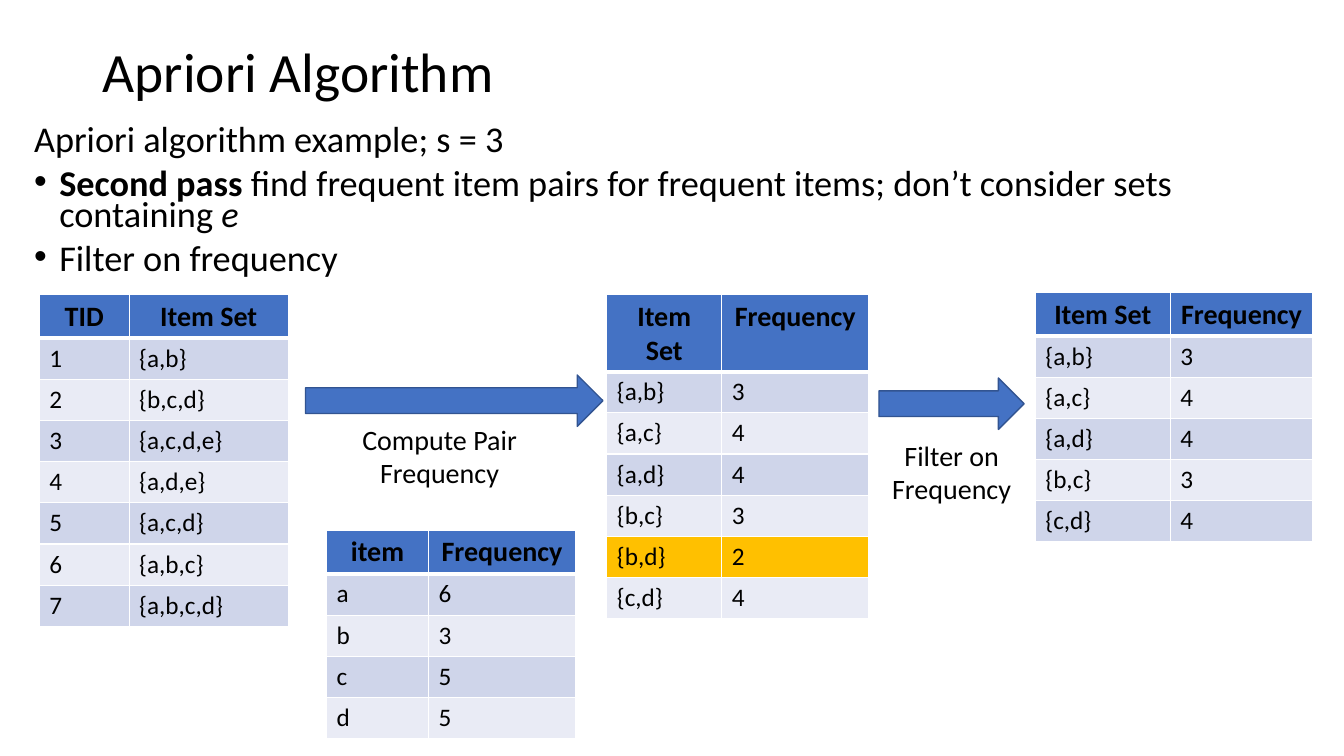
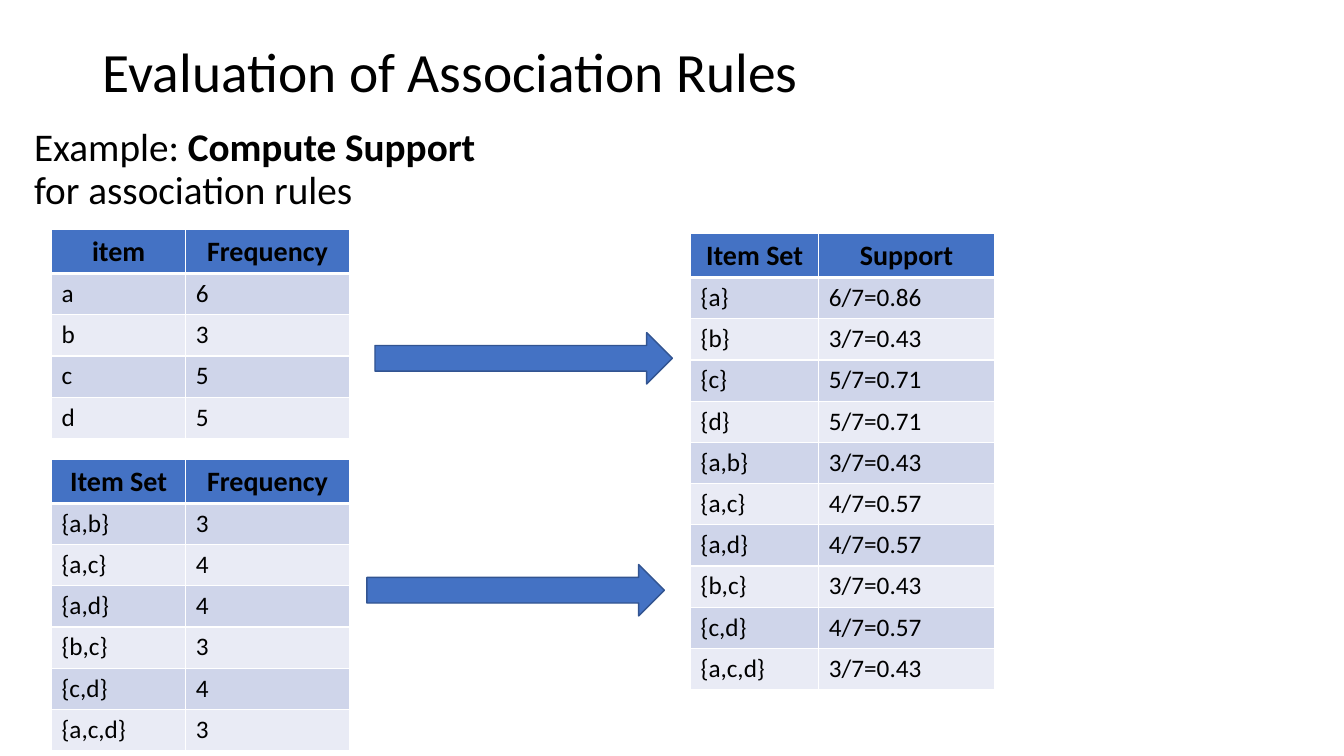
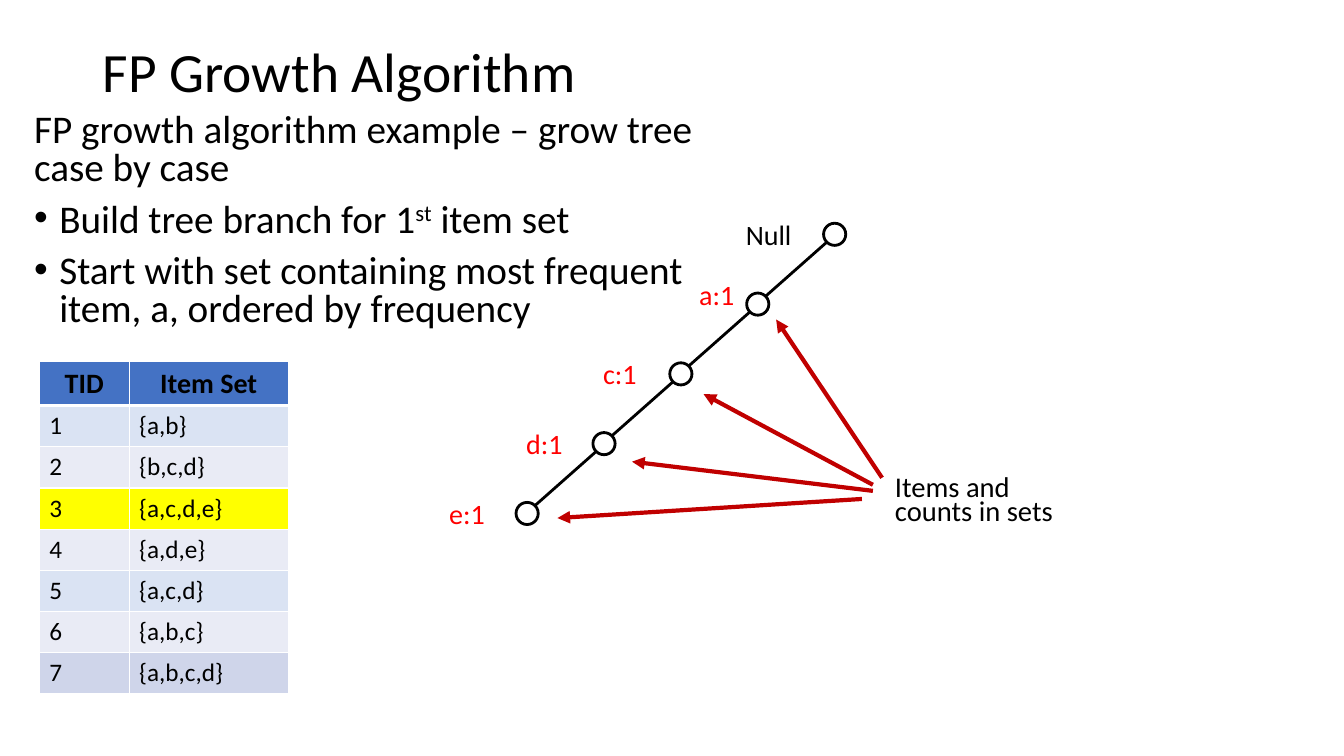
"""Build three slides on frequent item sets and association rules."""
from dataclasses import dataclass, field
from typing import Any, NamedTuple

from lxml.etree import SubElement
from pptx import Presentation
from pptx.dml.color import RGBColor
from pptx.enum.shapes import MSO_CONNECTOR, MSO_SHAPE
from pptx.enum.text import MSO_ANCHOR, MSO_AUTO_SIZE, PP_ALIGN
from pptx.oxml.ns import qn
from pptx.util import Emu, Inches, Pt

SLIDE_WIDTH, SLIDE_HEIGHT = Inches(13.33), Inches(7.5)
ROW_SHARE = 5.45
HALF_DIAGONAL = 0.71
TITLE_ONLY = 5


@dataclass(frozen=True)
class Theme:
    """Colours in RRGGBB and sizes in points."""
    font: str = "Calibri"
    ink: str = "000000"
    paper: str = "FFFFFF"
    accent: str = "4472C4"
    accent_edge: str = "325491"
    band_dark: str = "CFD5EA"
    band_light: str = "E9EBF5"
    band_blue: str = "DAE3F3"
    rejected: str = "FFC000"
    current: str = "FFFF00"
    count: str = "FF0000"
    pointer: str = "C00000"
    title: float = 39.6
    body: float = 28
    body_dense: float = 25.9
    note: float = 20.4
    label: float = 20
    cell: float = 18
    thin: float = 1
    medium: float = 2
    thick: float = 3


THEME = Theme()


class Box(NamedTuple):
    """Left, top, width and height in percent of the slide."""
    left: float
    top: float
    width: float
    height: float


class Point(NamedTuple):
    """A place in percent of the slide."""
    x: float
    y: float


class Span(NamedTuple):
    """A run of text with its own font formats."""
    text: str
    formats: dict[str, Any] = {}
    baseline: int = 0


class Para(NamedTuple):
    """A paragraph made of spans."""
    spans: list[Span]
    bullet: bool = False


@dataclass(frozen=True)
class TextStyle:
    """Size, colour and paragraph formats of a text block."""
    size: float = THEME.label
    color: str = THEME.ink
    paragraph: dict[str, Any] = field(default_factory=dict)


@dataclass(frozen=True)
class Grid:
    """A table with its place, column shares, rows and row colours."""
    corner: Point
    columns: tuple[float, float]
    header: tuple[str, str]
    rows: list[tuple[str, str]]
    band: str = THEME.band_dark
    marked: dict[int, str] = field(default_factory=dict)


class Node(NamedTuple):
    """A tree node's label, with the label's offset, width and colour."""
    label: str
    offset: Point
    width: float
    color: str = THEME.count


def across(share: float) -> Emu:
    """Turn a share of the width into a length."""
    return Emu(round(SLIDE_WIDTH * share / 100))


def down(share: float) -> Emu:
    """Turn a share of the height into a length."""
    return Emu(round(SLIDE_HEIGHT * share / 100))


def place(box: Box) -> tuple[Emu, Emu, Emu, Emu]:
    """Turn a box into lengths."""
    return across(box.left), down(box.top), across(box.width), down(box.height)


def assign(target: Any, formats: dict[str, Any]) -> None:
    """Set each format value on the target."""
    for key, value in formats.items():
        setattr(target, key, value)


def write(frame: Any, paras: list[Para], style: TextStyle) -> None:
    """Fill a text frame with paragraphs."""
    for index, para in enumerate(paras):
        paragraph = frame.add_paragraph() if index else frame.paragraphs[0]
        assign(paragraph, style.paragraph)
        for span in para.spans:
            run = paragraph.add_run()
            run.text = span.text
            assign(run.font, {"name": THEME.font, "size": Pt(style.size), **span.formats})
            run.font.color.rgb = RGBColor.from_string(style.color)
            if span.baseline:
                run.font._element.set("baseline", str(span.baseline * 1000))
        if para.bullet:
            properties = paragraph._p.get_or_add_pPr()
            properties.set("marL", str(Inches(0.25)))
            properties.set("indent", str(-Inches(0.25)))
            SubElement(properties, qn("a:buFont"), typeface="Arial")
            SubElement(properties, qn("a:buChar"), char="•")


def spaced(line_spacing: float) -> dict[str, Any]:
    """Give the paragraph formats of flowing text."""
    return {"line_spacing": line_spacing, "space_before": Pt(10)}


def add_text(slide: Any, box: Box, paras: list[Para], style: TextStyle) -> None:
    """Add a wrapping text box."""
    frame = slide.shapes.add_textbox(*place(box)).text_frame
    frame.word_wrap = True
    write(frame, paras, style)


def add_caption(slide: Any, box: Box, text: str) -> None:
    """Add a centred caption."""
    style = TextStyle(paragraph={"alignment": PP_ALIGN.CENTER})
    add_text(slide, box, [Para([Span(text)])], style)


def add_titled_slide(deck: Any, title: str) -> Any:
    """Add a slide with the shared title style."""
    slide = deck.slides.add_slide(deck.slide_layouts[TITLE_ONLY])
    heading = slide.shapes.title
    sides = ("left", "top", "width", "height")
    assign(heading, dict(zip(sides, place(Box(6.9, 5.33, 86.25, 9.07)))))
    assign(heading.text_frame, {"vertical_anchor": MSO_ANCHOR.MIDDLE,
                                "auto_size": MSO_AUTO_SIZE.NONE, "word_wrap": True})
    style = TextStyle(THEME.title, paragraph={"alignment": PP_ALIGN.LEFT, "line_spacing": 0.9})
    write(heading.text_frame, [Para([Span(title)])], style)
    return slide


def add_borders(cell: Any, row: int) -> None:
    """Draw white cell borders, thick under the header."""
    heavy = {"lnB": row == 0, "lnT": row == 1}
    properties = cell._tc.get_or_add_tcPr()
    for side in ("lnL", "lnR", "lnT", "lnB"):
        width = THEME.thick if heavy.get(side) else THEME.thin
        border = SubElement(properties, qn(f"a:{side}"), w=str(Pt(width)))
        fill = SubElement(border, qn("a:solidFill"))
        SubElement(fill, qn("a:srgbClr"), val=THEME.paper)


def add_grid(slide: Any, grid: Grid) -> None:
    """Add a banded table with a header row."""
    lines = [grid.header, *grid.rows]
    box = Box(*grid.corner, sum(grid.columns), ROW_SHARE * len(lines))
    table = slide.shapes.add_table(len(lines), len(grid.columns), *place(box)).table
    for column, share in zip(table.columns, grid.columns):
        column.width = across(share)
    header_style = TextStyle(paragraph={"alignment": PP_ALIGN.CENTER})
    for row, line in enumerate(lines):
        table.rows[row].height = down(ROW_SHARE)
        band = grid.band if row % 2 else THEME.band_light
        color = grid.marked.get(row, band) if row else THEME.accent
        style = TextStyle(THEME.cell) if row else header_style
        for column, text in enumerate(line):
            cell = table.cell(row, column)
            add_borders(cell, row)
            cell.fill.solid()
            cell.fill.fore_color.rgb = RGBColor.from_string(color)
            write(cell.text_frame, [Para([Span(text, {"bold": row == 0})])], style)


def add_block_arrow(slide: Any, corner: Point, width: float = 22.13) -> None:
    """Add a right-pointing block arrow."""
    arrow = slide.shapes.add_shape(MSO_SHAPE.RIGHT_ARROW, *place(Box(*corner, width, 6.8)))
    arrow.shadow.inherit = False
    arrow.fill.solid()
    arrow.fill.fore_color.rgb = RGBColor.from_string(THEME.accent)
    arrow.line.color.rgb = RGBColor.from_string(THEME.accent_edge)
    arrow.line.width = Pt(THEME.thin)


def add_line(slide: Any, start: Point, end: Point, color: str, width: float,
             pointed: bool = False) -> None:
    """Add a straight line, with an arrowhead if pointed."""
    line = slide.shapes.add_connector(MSO_CONNECTOR.STRAIGHT, across(start.x), down(start.y),
                                      across(end.x), down(end.y))
    line.line.color.rgb = RGBColor.from_string(color)
    line.line.width = Pt(width)
    properties = line._element.spPr
    if pointed:
        SubElement(properties.find(qn("a:ln")), qn("a:tailEnd"), type="triangle")
    SubElement(properties, qn("a:effectLst"))


def add_branch(slide: Any, nodes: list[Node]) -> None:
    """Draw a tree branch running down to the left."""
    root, step, size = Point(62.1, 31), Point(-5.72, 9.23), Point(1.65, 2.93)
    reach = Point(HALF_DIAGONAL * size.x / 2, HALF_DIAGONAL * size.y / 2)
    for level, node in enumerate(nodes):
        center = Point(root.x + level * step.x, root.y + level * step.y)
        circle = slide.shapes.add_shape(MSO_SHAPE.OVAL, *place(
            Box(center.x - size.x / 2, center.y - size.y / 2, *size)))
        circle.shadow.inherit = False
        circle.fill.background()
        circle.line.color.rgb = RGBColor.from_string(THEME.ink)
        circle.line.width = Pt(THEME.medium)
        label = Box(center.x + node.offset.x, center.y + node.offset.y, node.width, 5.87)
        add_text(slide, label, [Para([Span(node.label)])], TextStyle(color=node.color))
        if level:
            parent = Point(center.x - step.x, center.y - step.y)
            add_line(slide, Point(parent.x - reach.x, parent.y + reach.y),
                     Point(center.x + reach.x, center.y - reach.y), THEME.ink, THEME.medium)


MIN_COUNT = 3
BASKETS = ["{a,b}", "{b,c,d}", "{a,c,d,e}", "{a,d,e}", "{a,c,d}", "{a,b,c}", "{a,b,c,d}"]
ITEM_COUNTS = {"a": 6, "b": 3, "c": 5, "d": 5}
PAIR_COUNTS = {"{a,b}": 3, "{a,c}": 4, "{a,d}": 4, "{b,c}": 3, "{b,d}": 2, "{c,d}": 4}
FREQUENT_PAIRS = {pair: count for pair, count in PAIR_COUNTS.items() if count >= MIN_COUNT}
FREQUENT_SETS = {**FREQUENT_PAIRS, "{a,c,d}": 3}
ITEM_HEADER, SET_HEADER = ("item", "Frequency"), ("Item Set", "Frequency")
BASKET_HEADER, BASKET_COLUMNS = ("TID", "Item Set"), (6.68, 11.85)
BASKET_ROWS = [(str(number), basket) for number, basket in enumerate(BASKETS, 1)]


def count_rows(counts: dict[str, int]) -> list[tuple[str, str]]:
    """Turn counts into table rows."""
    return [(name, str(count)) for name, count in counts.items()]


def support_rows() -> list[tuple[str, str]]:
    """Work out the support of each item and item set."""
    counts = {**{f"{{{item}}}": count for item, count in ITEM_COUNTS.items()}, **FREQUENT_SETS}
    total = len(BASKETS)
    return [(name, f"{count}/{total}={count / total:.2f}") for name, count in counts.items()]


def build_apriori(deck: Any) -> None:
    """Build the second pass of the Apriori example."""
    slide = add_titled_slide(deck, "Apriori Algorithm")
    add_text(slide, Box(1.8, 16.27, 92.93, 21.73), [
        Para([Span("Apriori algorithm example; s = 3")]),
        Para([Span("Second pass ", {"bold": True}),
              Span("find frequent item pairs for frequent items; "
                   "don’t consider sets containing "),
              Span("e", {"italic": True})], bullet=True),
        Para([Span("Filter on frequency")], bullet=True),
    ], TextStyle(THEME.body_dense, paragraph=spaced(0.7)))
    rejected = {row: THEME.rejected for row, count in enumerate(PAIR_COUNTS.values(), 1)
                if count < MIN_COUNT}
    for grid in (
        Grid(Point(2.93, 38.93), BASKET_COLUMNS, BASKET_HEADER, BASKET_ROWS),
        Grid(Point(24.3, 70.13), (7.58, 10.95), ITEM_HEADER, count_rows(ITEM_COUNTS)),
        Grid(Point(45.15, 38.93), (8.55, 10.95), SET_HEADER, count_rows(PAIR_COUNTS),
             marked=rejected),
        Grid(Point(77.03, 38.67), (10.05, 10.6), SET_HEADER, count_rows(FREQUENT_PAIRS)),
    ):
        add_grid(slide, grid)
    add_block_arrow(slide, Point(22.73, 49.6))
    add_caption(slide, Box(24.98, 55.2, 15.45, 10.27), "Compute Pair Frequency")
    add_block_arrow(slide, Point(65.4, 50), 10.8)
    add_caption(slide, Box(64.58, 57.33, 12.45, 10.27), "Filter on Frequency")


def build_support(deck: Any) -> None:
    """Build the support computation."""
    slide = add_titled_slide(deck, "Evaluation of Association Rules")
    add_text(slide, Box(1.8, 16.27, 37.5, 16.13), [
        Para([Span("Example: "), Span("Compute Support ", {"bold": True}),
              Span("for association rules")]),
    ], TextStyle(THEME.body, paragraph=spaced(0.9)))
    count_columns = (10, 12.15)
    for grid in (
        Grid(Point(3.83, 30.4), count_columns, ITEM_HEADER, count_rows(ITEM_COUNTS)),
        Grid(Point(51.38, 30.93), (9.55, 13.05), ("Item Set", "Support"), support_rows()),
        Grid(Point(3.83, 60.8), count_columns, SET_HEADER, count_rows(FREQUENT_SETS)),
    ):
        add_grid(slide, grid)
    for corner in (Point(27.9, 44), Point(27.3, 74.67)):
        add_block_arrow(slide, corner)


def build_growth(deck: Any) -> None:
    """Build the first branch of the FP tree."""
    slide = add_titled_slide(deck, "FP Growth Algorithm")
    add_text(slide, Box(1.8, 14.4, 52.95, 32.27), [
        Para([Span("FP growth algorithm example – grow tree case by case")]),
        Para([Span("Build tree branch for 1"), Span("st", baseline=30),
              Span(" item set")], bullet=True),
        Para([Span("Start with set containing most frequent item, a, "
                   "ordered by frequency")], bullet=True),
    ], TextStyle(THEME.body, paragraph=spaced(0.8)))
    add_grid(slide, Grid(Point(2.93, 47.87), BASKET_COLUMNS, BASKET_HEADER, BASKET_ROWS,
                         THEME.band_blue, {3: THEME.current, 7: THEME.band_dark}))
    beside = Point(-6.53, -2.93)
    add_branch(slide, [
        Node("Null", Point(-7.35, -2.93), 5.33, THEME.ink),
        Node("a:1", Point(-5.1, -4.13), 5.55),
        *(Node(f"{item}:1", beside, 4.5) for item in "cde"),
    ])
    for start, end in (
        (Point(65.63, 63.2), Point(57.75, 42.27)),
        (Point(64.13, 66), Point(41.48, 68.53)),
        (Point(64.95, 64.93), Point(47.03, 61.07)),
        (Point(64.95, 64.13), Point(52.35, 52.13)),
    ):
        add_line(slide, start, end, THEME.pointer, THEME.thick, pointed=True)
    add_text(slide, Box(65.85, 62.67, 15.23, 8.13), [Para([Span("Items and counts in sets")])],
             TextStyle(THEME.note, paragraph=spaced(0.7)))


def main() -> None:
    """Build and save the deck."""
    deck = Presentation()
    assign(deck, {"slide_width": SLIDE_WIDTH, "slide_height": SLIDE_HEIGHT})
    for build in (build_apriori, build_support, build_growth):
        build(deck)
    deck.save("out.pptx")


if __name__ == "__main__":
    main()
